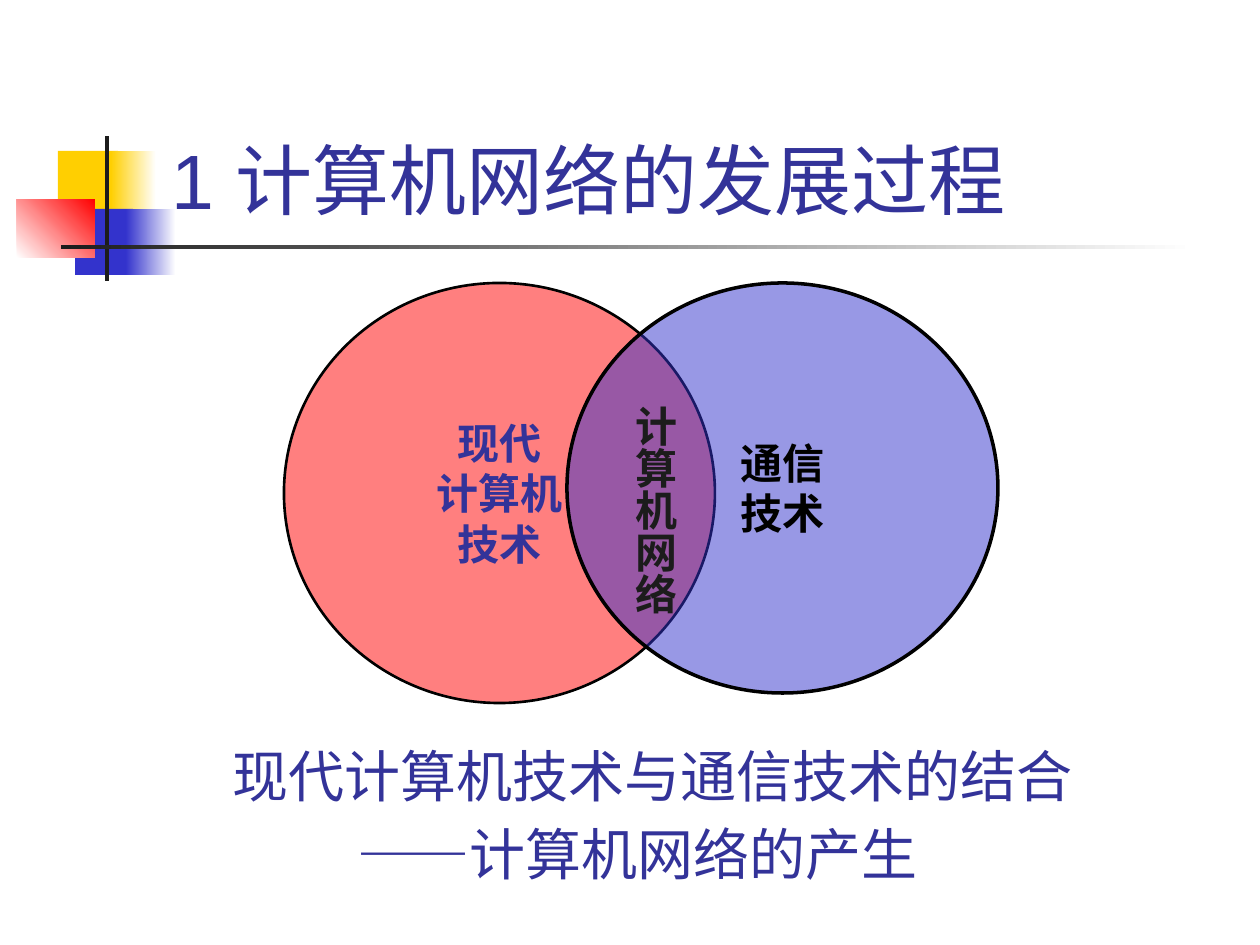
from dataclasses import dataclass
from lxml import etree
from pptx import Presentation
from pptx.dml.color import RGBColor
from pptx.enum.shapes import MSO_SHAPE
from pptx.enum.text import MSO_ANCHOR, MSO_AUTO_SIZE, PP_ALIGN
from pptx.oxml.ns import qn
from pptx.util import Pt

RECTANGLE, OVAL = MSO_SHAPE.RECTANGLE, MSO_SHAPE.OVAL
BOTTOM, MIDDLE = MSO_ANCHOR.BOTTOM, MSO_ANCHOR.MIDDLE
LEFT, CENTER = PP_ALIGN.LEFT, PP_ALIGN.CENTER
NO_AUTOFIT = MSO_AUTO_SIZE.NONE
TITLE_ONLY = 5
EMU_PER_PX = 914400 / 126


@dataclass(frozen=True)
class Theme:
    navy: str = "333399"
    blue: str = "3333CC"
    red: str = "FF0000"
    yellow: str = "FFCF01"
    ink: str = "1C1C1C"
    black: str = "000000"
    white: str = "FFFFFF"
    heading_font: str = "Arial"
    label_font: str = "Times New Roman"
    title_size: int = 44
    body_size: int = 32
    label_size: int = 24


theme = Theme()


def px(*lengths):
    return [round(length * EMU_PER_PX) for length in lengths]


def write(text_frame, lines, font_name, size, color, bold=False, align=LEFT):
    text_frame.text = "\n".join(lines)
    for paragraph in text_frame.paragraphs:
        paragraph.alignment = align
        paragraph.font.name = font_name
        paragraph.font.size = Pt(size)
        paragraph.font.bold = bold
        paragraph.font.color.rgb = RGBColor.from_string(color)


presentation = Presentation()
presentation.slide_width, presentation.slide_height = px(1260, 945)
slide = presentation.slides.add_slide(presentation.slide_layouts[TITLE_ONLY])

# Corner decoration: box, start colour, end colour, gradient angle
decorations = [
    ((58, 151, 60, 66), theme.yellow, None, 0),
    ((111, 151, 45, 66), theme.yellow, theme.white, 0),
    ((75, 209, 58, 66), theme.blue, None, 0),
    ((126, 209, 50, 66), theme.blue, theme.white, 0),
    ((17, 199, 78, 59), theme.white, theme.red, 45),
    ((105, 136, 4, 145), theme.ink, None, 0),
    ((61, 245, 1134, 4), theme.ink, theme.white, 0),
]
for box, start, end, angle in decorations:
    shape = slide.shapes.add_shape(RECTANGLE, *px(*box))
    shape.shadow.inherit = False
    shape.line.fill.background()
    if end:
        shape.fill.gradient()
        shape.fill.gradient_angle = angle
        for stop, color in zip(shape.fill.gradient_stops, (start, end)):
            stop.color.rgb = RGBColor.from_string(color)
    else:
        shape.fill.solid()
        shape.fill.fore_color.rgb = RGBColor.from_string(start)

# Title
title = slide.shapes.title
title.left, title.top, title.width, title.height = px(159, 29, 1074, 202)
title.text_frame.auto_size = NO_AUTOFIT
title.text_frame.vertical_anchor = BOTTOM
write(title.text_frame, ["1 计算机网络的发展过程"],
      theme.heading_font, theme.title_size, theme.navy)

# Conclusion below the circles
conclusion = slide.shapes.add_textbox(*px(220, 735, 872, 179))
conclusion.text_frame.word_wrap = True
write(conclusion.text_frame, ["现代计算机技术与通信技术的结合", "——计算机网络的产生"],
      theme.heading_font, theme.body_size, theme.navy)
for paragraph, indent in zip(conclusion.text_frame.paragraphs, px(0, 125)):
    paragraph.space_before = Pt(theme.body_size * 0.2)
    paragraph._p.get_or_add_pPr().set("marL", str(indent))

# Overlapping half-transparent circles
circles = [
    ((284, 283, 431, 420), theme.red, 1.5, theme.navy, ["现代", "计算机", "技术"]),
    ((567, 283, 431, 410), theme.blue, 2, theme.black, ["通信", "技术"]),
]
for box, fill_color, line_width, text_color, lines in circles:
    circle = slide.shapes.add_shape(OVAL, *px(*box))
    circle.shadow.inherit = False
    circle.fill.solid()
    circle.fill.fore_color.rgb = RGBColor.from_string(fill_color)
    color_element = circle.fill._xPr.find(qn("a:solidFill"))[0]
    etree.SubElement(color_element, qn("a:alpha")).set("val", "50000")
    circle.line.color.rgb = RGBColor.from_string(theme.black)
    circle.line.width = Pt(line_width)
    circle.text_frame.word_wrap = False
    circle.text_frame.vertical_anchor = MIDDLE
    write(circle.text_frame, lines, theme.label_font, theme.label_size,
          text_color, bold=True, align=CENTER)

# Vertical label in the overlap
overlap = slide.shapes.add_textbox(*px(610, 393, 76, 268))
overlap.text_frame.word_wrap = True
overlap.text_frame._txBody.bodyPr.set("vert", "eaVert")
write(overlap.text_frame, ["计算机网络"], theme.label_font, theme.label_size,
      theme.ink, bold=True)

presentation.save("out.pptx")
